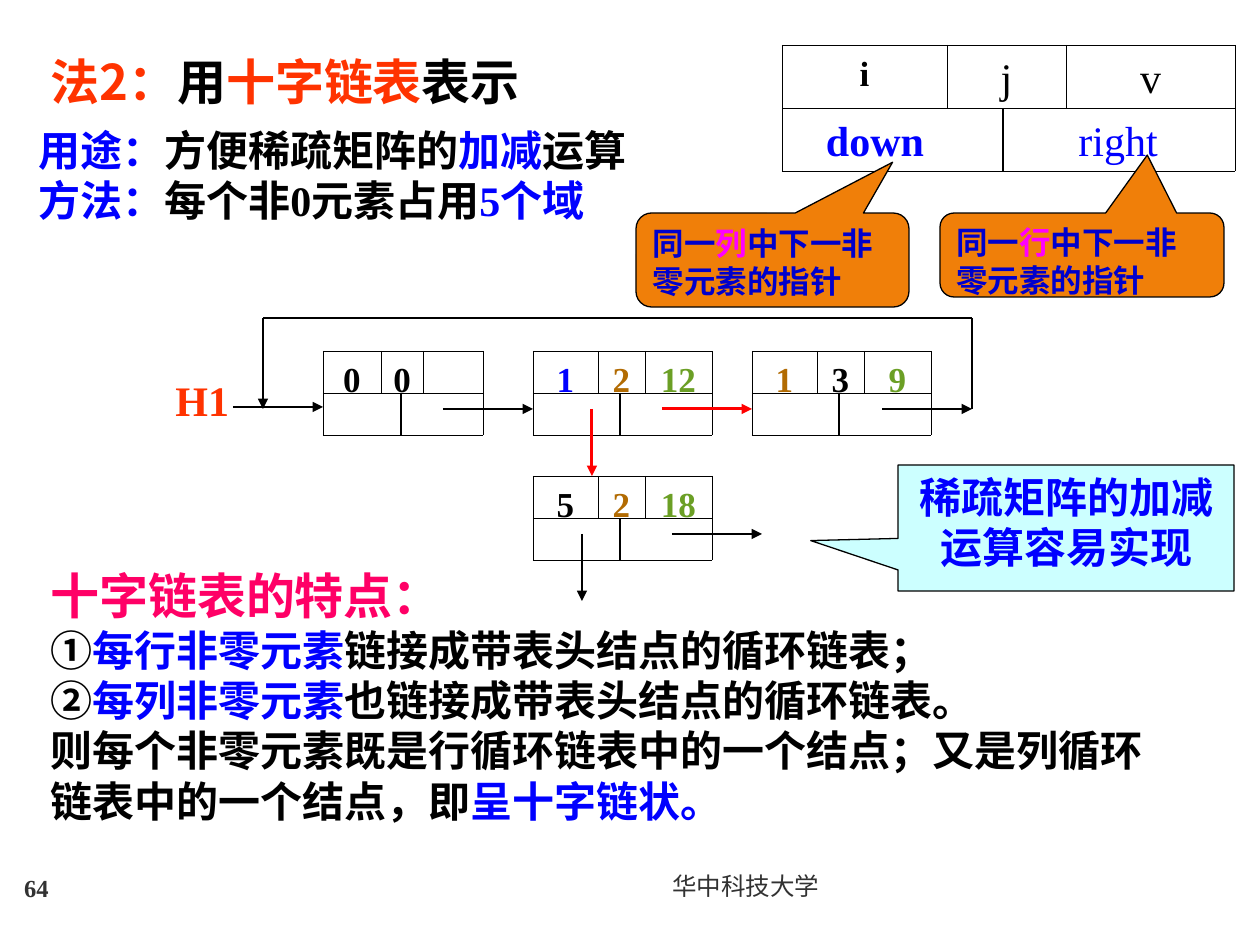
"""Build the slide on storing sparse matrices as orthogonal linked lists."""
from dataclasses import dataclass
from typing import NamedTuple, Optional

from lxml import etree
from pptx import Presentation
from pptx import util as u
from pptx.dml.color import RGBColor
from pptx.enum import shapes, text
from pptx.oxml import ns

EMU_PER_PX = 914400 / 126
SERIF, SANS, CJK = "Times New Roman", "Arial", "Noto Sans CJK SC"
COLORS = {
    "black": "000000", "grey": "323232", "blue": "0000FF", "navy": "0000CC",
    "red": "FF0000", "vermilion": "FF3300", "pink": "FF0066", "magenta": "FF00FF",
    "brown": "B26B02", "green": "6B9F25", "orange": "F07F09", "cyan": "CCFFFF",
}
ALIGN = {"l": text.PP_ALIGN.LEFT, "c": text.PP_ALIGN.CENTER, "r": text.PP_ALIGN.RIGHT}


class Run(NamedTuple):
    words: str
    color: str = "black"
    size: int = 24
    bold: bool = True
    font: str = SERIF


class Box(NamedTuple):
    left: int
    top: int
    width: int
    height: int


class Arrow(NamedTuple):
    x1: int
    y1: int
    x2: int
    y2: int
    color: str = "black"
    weight: float = 0.75
    head: bool = True


@dataclass
class Node:
    left: int
    top: int
    widths: tuple[int, int, int]
    divider: int
    fields: list[Optional[Run]]
    row: int = 42


@dataclass
class Callout:
    kind: shapes.MSO_SHAPE
    box: Box
    tip: tuple[float, float]
    fill: str
    runs: list[Run]
    align: str = "l"


def px(length: float) -> int:
    return round(length * EMU_PER_PX)


def rgb(name: str) -> RGBColor:
    return RGBColor.from_string(COLORS[name])


def write(shape, paragraphs: list[list[Run]], align: str = "l",
          anchor=text.MSO_ANCHOR.TOP, wrap: bool = True) -> None:
    frame = shape.text_frame
    frame.auto_size = text.MSO_AUTO_SIZE.NONE
    frame.word_wrap = wrap
    frame.vertical_anchor = anchor
    for index, runs in enumerate(paragraphs):
        paragraph = frame.paragraphs[0] if index == 0 else frame.add_paragraph()
        paragraph.alignment = ALIGN[align]
        for part in runs:
            run = paragraph.add_run()
            run.text = part.words
            run.font.name = part.font
            run.font.size = u.Pt(part.size)
            run.font.bold = part.bold
            run.font.color.rgb = rgb(part.color)


def add_text(slide, box: Box, paragraphs: list[list[Run]], **layout):
    label = slide.shapes.add_textbox(*map(px, box))
    write(label, paragraphs, **layout)
    return label


def add_line(slide, line: Arrow) -> None:
    ends = map(px, (line.x1, line.y1, line.x2, line.y2))
    connector = slide.shapes.add_connector(shapes.MSO_CONNECTOR.STRAIGHT, *ends)
    connector.line.color.rgb = rgb(line.color)
    connector.line.width = u.Pt(line.weight)
    if line.head:
        outline = connector.line._get_or_add_ln()
        etree.SubElement(outline, ns.qn("a:tailEnd"), type="triangle")
    etree.SubElement(connector._element.spPr, ns.qn("a:effectLst"))


def add_node(slide, node: Node) -> None:
    left, top, row = node.left, node.top, node.row
    right, middle, bottom = left + sum(node.widths), top + row, top + 2 * row
    split = left + node.divider
    edge = left
    for width, field in zip(node.widths, node.fields):
        if field:
            add_text(slide, Box(edge, top, width, row), [[field]], align="c")
        if edge > left:
            add_line(slide, Arrow(edge, top, edge, middle, weight=0.25, head=False))
        edge += width
    for y in (top, middle, bottom):
        add_line(slide, Arrow(left, y, right, y, weight=0.25, head=False))
    for x in (left, right):
        add_line(slide, Arrow(x, top, x, bottom, weight=0.25, head=False))
    add_line(slide, Arrow(split, middle, split, bottom, head=False))


def add_callout(slide, callout: Callout) -> None:
    bubble = slide.shapes.add_shape(callout.kind, *map(px, callout.box))
    bubble.adjustments[0], bubble.adjustments[1] = callout.tip
    bubble.shadow.inherit = False
    bubble.fill.solid()
    bubble.fill.fore_color.rgb = rgb(callout.fill)
    bubble.line.color.rgb = rgb("black")
    bubble.line.width = u.Pt(0.75)
    write(bubble, [callout.runs], align=callout.align)


def pointer_note(direction: str) -> list[Run]:
    return [Run("同一", "navy", 18), Run(direction, "magenta", 18),
            Run("中下一非零元素的指针", "navy", 18)]


def element(left: int, top: int, *fields: tuple[str, str]) -> Node:
    return Node(left, top, (65, 47, 67), 87, [Run(*field, 20) for field in fields])


RECORD = Node(782, 45, (165, 119, 169), 221,
              [Run("i", size=20), Run("j", bold=False), Run("v", bold=False)], 63)
NODES = [
    Node(323, 351, (58, 42, 60), 78, [Run("0", size=20), Run("0", size=20), None]),
    element(533, 351, ("1", "blue"), ("2", "brown"), ("12", "green")),
    element(752, 351, ("1", "brown"), ("3", "black"), ("9", "green")),
    element(533, 476, ("5", "black"), ("2", "brown"), ("18", "green")),
]
LINKS = [
    Arrow(233, 407, 323, 407), Arrow(443, 409, 533, 409),
    Arrow(662, 409, 752, 409, "red", 1.75), Arrow(882, 409, 972, 409),
    Arrow(972, 409, 972, 318, head=False), Arrow(972, 318, 263, 318, head=False),
    Arrow(263, 318, 263, 409), Arrow(592, 409, 592, 476, "red", 1.75),
    Arrow(582, 534, 582, 601), Arrow(672, 534, 762, 534),
]
ROUNDED = shapes.MSO_SHAPE.ROUNDED_RECTANGULAR_CALLOUT
POINTER_NOTES = [
    Callout(ROUNDED, Box(636, 213, 273, 94), (0.44, -1.04), "orange", pointer_note("列")),
    Callout(ROUNDED, Box(940, 213, 284, 84), (0.23, -1.19), "orange", pointer_note("行")),
]
CONCLUSION = Callout(shapes.MSO_SHAPE.RECTANGULAR_CALLOUT, Box(898, 465, 336, 126),
                     (-0.76, 0.1), "cyan", [Run("稀疏矩阵的加减运算容易实现", "blue")], "c")
PURPOSE = [
    [Run("用途：", "blue"), Run("方便稀疏矩阵的"), Run("加减", "blue"), Run("运算")],
    [Run("方法：", "blue"), Run("每个非0元素占用"), Run("5个域", "blue")],
]
FEATURES = [
    [Run("十字链表的特点：", "pink", 28)],
    [Run("①"), Run("每行非零元素", "blue"), Run("链接成带表头结点的循环链表；")],
    [Run("②"), Run("每列非零元素", "blue"), Run("也链接成带表头结点的循环链表。")],
    [Run("则每个非零元素既是行循环链表中的一个结点；又是列循环链表中的一个结点，即"),
     Run("呈十字链状。", "blue")],
]


def main() -> None:
    deck = Presentation()
    deck.slide_width, deck.slide_height = px(1260), px(945)
    slide = deck.slides.add_slide(deck.slide_layouts[5])

    title = slide.shapes.title
    title.left, title.top, title.width, title.height = map(px, Box(38, 45, 567, 84))
    write(title, [[Run("法2：", "vermilion", 28, font=CJK), Run("用", size=28, font=SANS),
                   Run("十字链表", "vermilion", 28, font=SANS),
                   Run("表示", size=28, font=SANS)]])

    middle = text.MSO_ANCHOR.MIDDLE
    add_text(slide, Box(84, 861, 748, 50), [[Run("华中科技大学", "grey", 14, False)]],
             align="r", anchor=middle)
    add_text(slide, Box(0, 861, 73, 53), [[Run("64", "grey", 14)]],
             align="c", anchor=middle)
    add_text(slide, Box(26, 118, 662, 113), PURPOSE)

    add_text(slide, Box(1066, 108, 168, 63), [[Run("right", "blue", bold=False)]])
    down = add_text(slide, Box(782, 108, 284, 63), [[Run("down", "blue")]])
    down.text_frame.margin_left = px(44)
    add_node(slide, RECORD)
    for note in POINTER_NOTES:
        add_callout(slide, note)

    add_text(slide, Box(38, 559, 1134, 272), FEATURES)
    for node in NODES:
        add_node(slide, node)
    add_text(slide, Box(163, 368, 79, 63), [[Run("H1", "vermilion")]], wrap=False)
    for link in LINKS:
        add_line(slide, link)
    add_callout(slide, CONCLUSION)
    deck.save("out.pptx")


if __name__ == "__main__":
    main()
